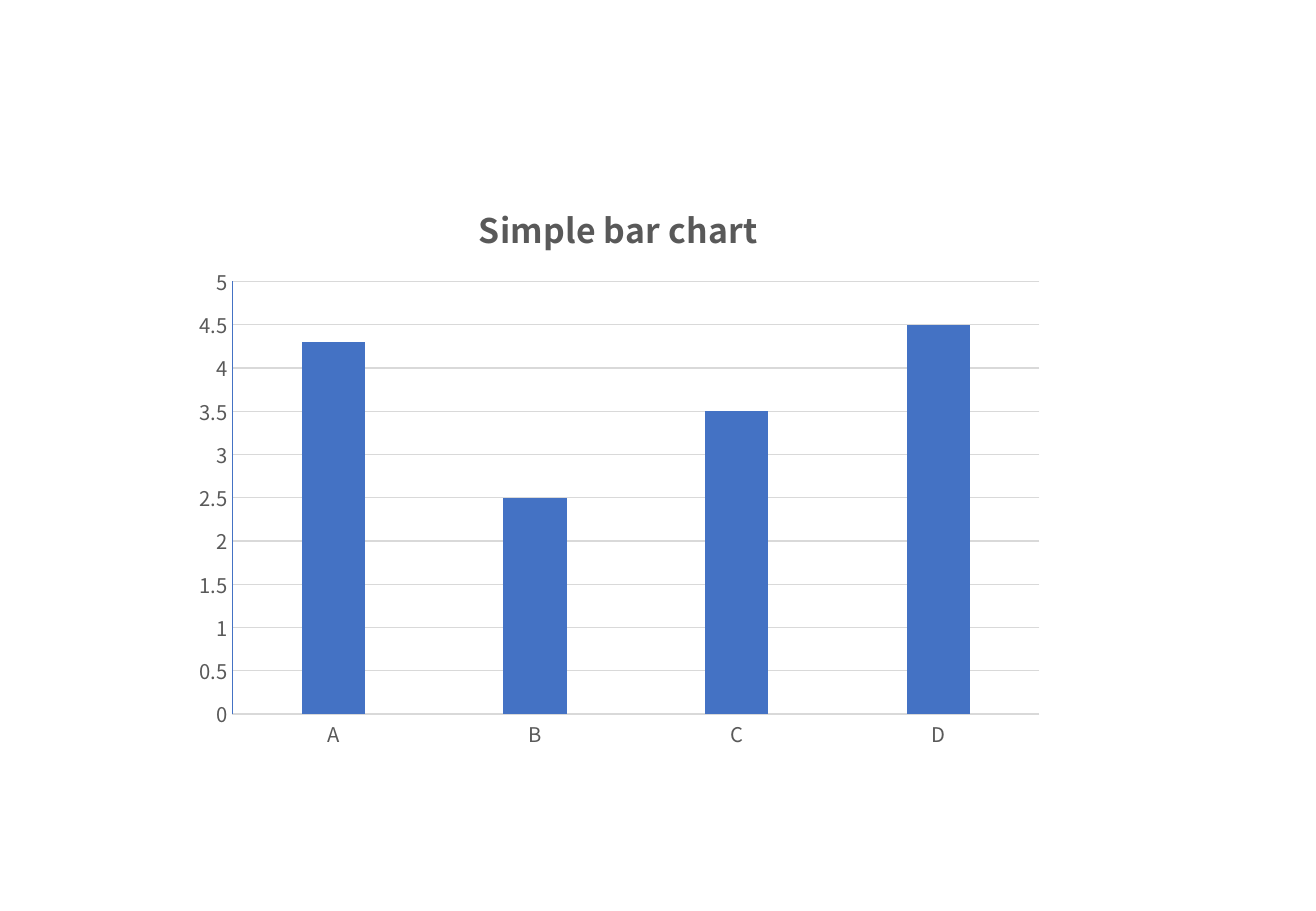
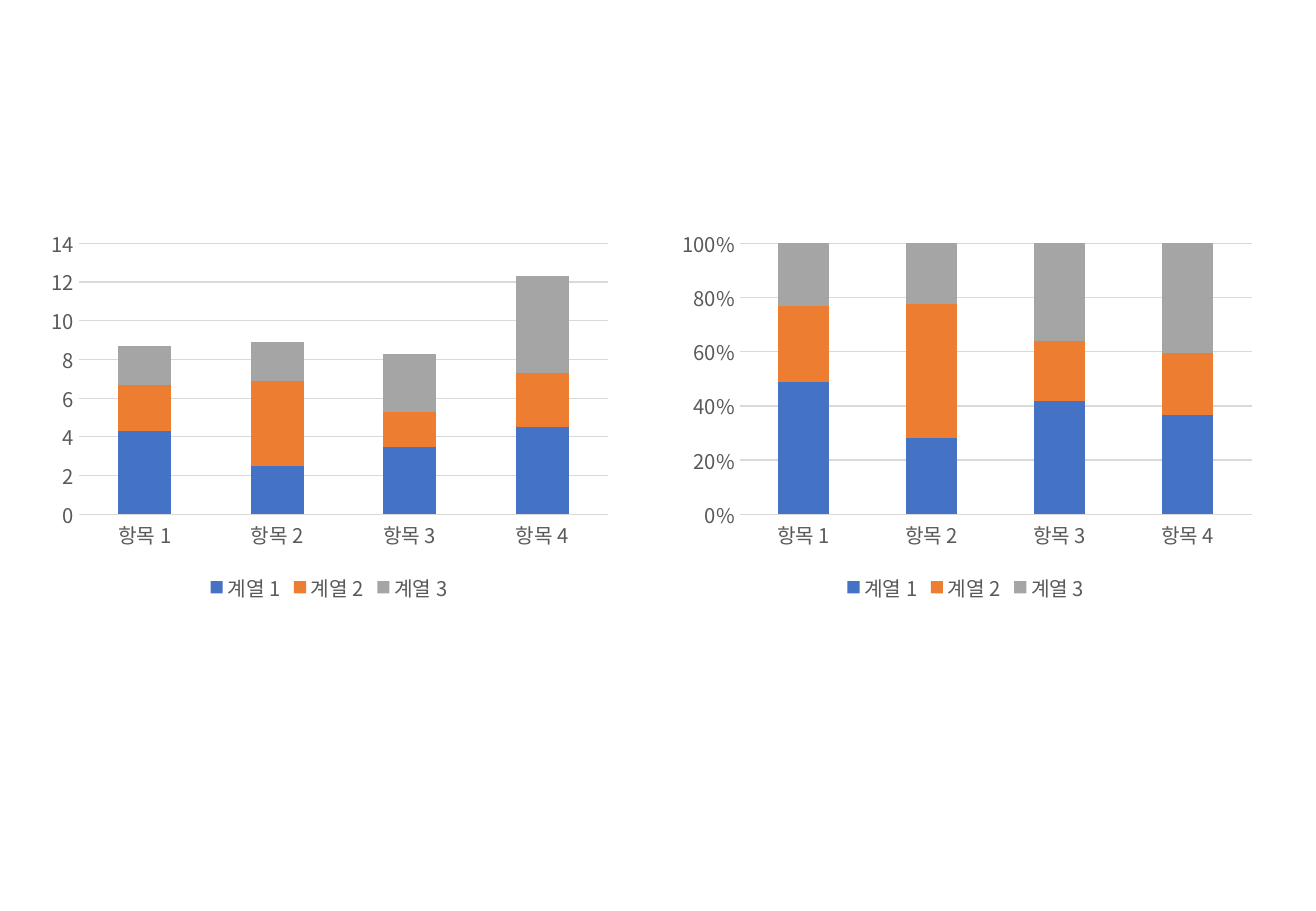
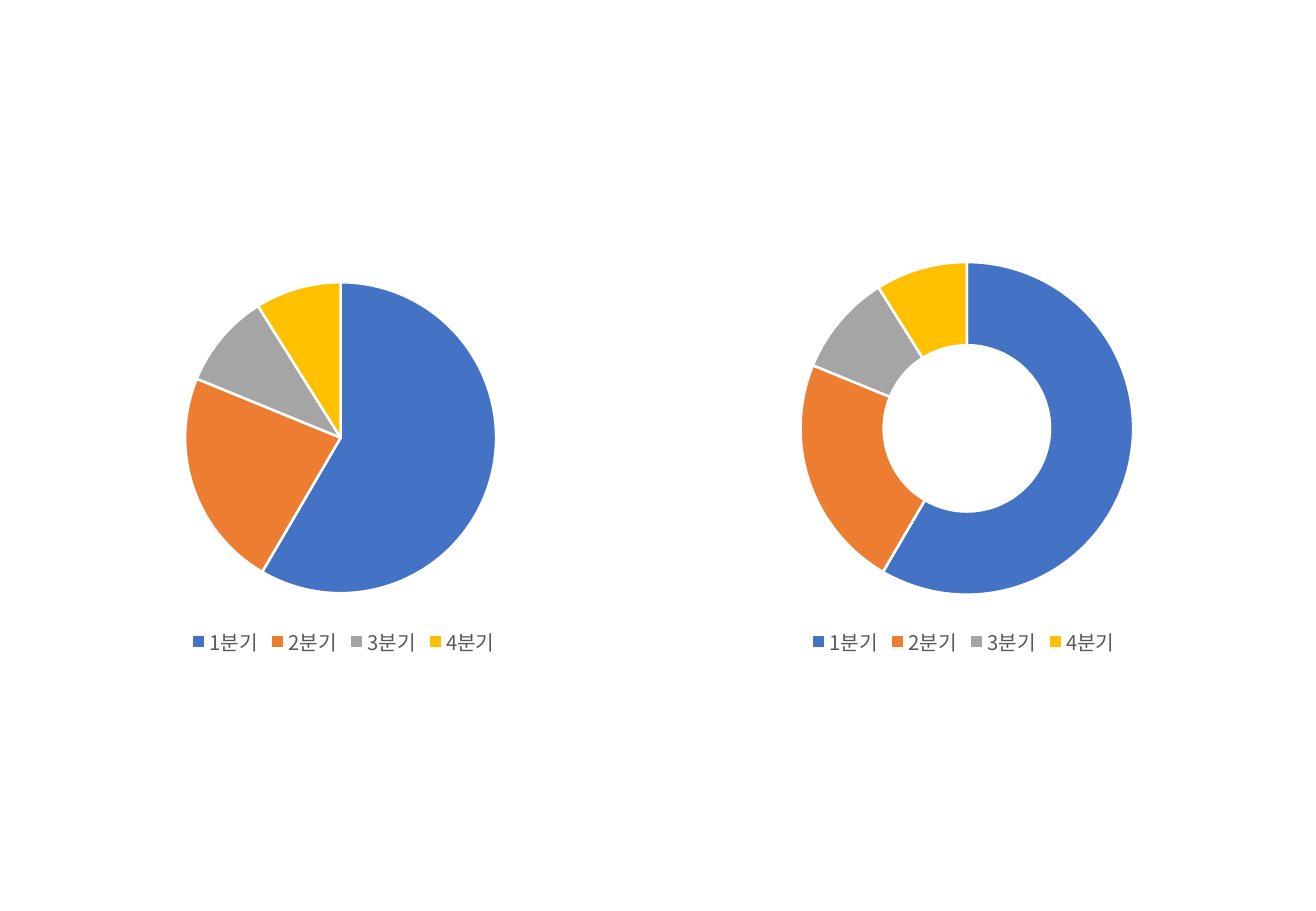
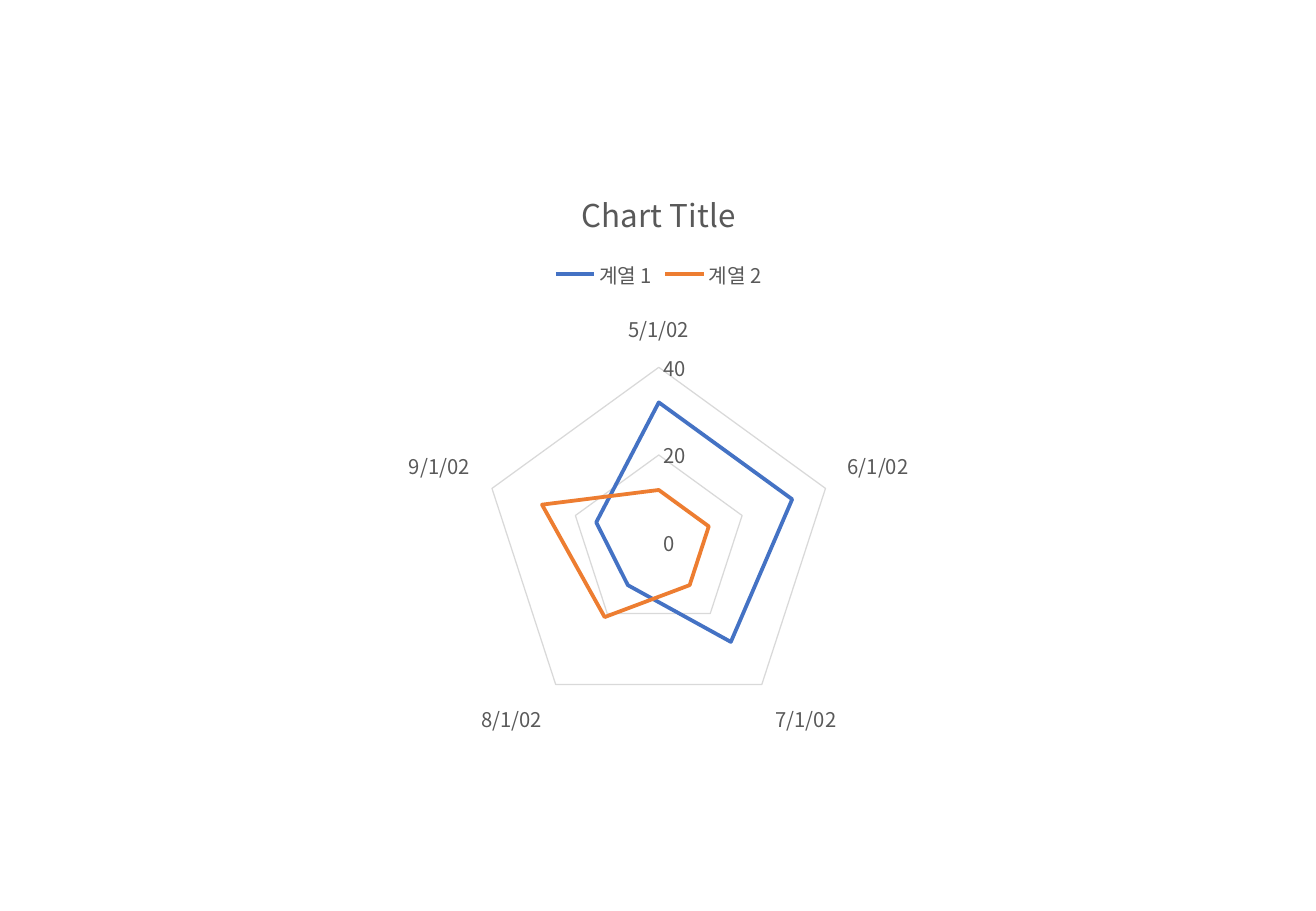
import pptx
import pptx.util
import pptx.dml.color
import pptx.chart.data
import pptx.enum.chart
import pptx.oxml

Pt = pptx.util.Pt
Kind = pptx.enum.chart.XL_CHART_TYPE
Side = pptx.enum.chart.XL_LEGEND_POSITION
Tick = pptx.enum.chart.XL_TICK_MARK

# Shared style
FACE = "Noto Sans CJK KR"
GREY, RULE, WHITE = "595959", "D9D9D9", "FFFFFF"
HUES = ["4472C4", "ED7D31", "A5A5A5", "FFC000"]
ITEMS = [f"항목 {n}" for n in range(1, 5)]
TERMS = [f"{n}분기" for n in range(1, 5)]
DATES = [f"{n}/1/02" for n in range(5, 10)]
NAMES = [f"계열 {n}" for n in range(1, 4)]


def rgb(code):
    return pptx.dml.color.RGBColor.from_string(code)


def style(font, size, bold=False):
    font.name, font.size, font.bold = FACE, Pt(size), bold
    font.color.rgb = rgb(GREY)


def stroke(line, code, width=0.75):
    """Draw a line in a colour, or hide it when there is none."""
    if code is None:
        line.fill.background()
    else:
        line.color.rgb = rgb(code)
        line.width = Pt(width)


def place(chart, area):
    """Set the inner plot area as fractions of the chart."""
    plot = chart.element.chart.plotArea
    for old in plot.findall(pptx.oxml.ns.qn("c:layout")):
        plot.remove(old)
    marks = "".join(f'<c:{tag} val="{val}"/>'
                    for tag, val in zip("xywh", area))
    plot.insert(0, pptx.oxml.parse_xml(
        f'<c:layout {pptx.oxml.ns.nsdecls("c")}><c:manualLayout>'
        '<c:layoutTarget val="inner"/><c:xMode val="edge"/>'
        f'<c:yMode val="edge"/>{marks}</c:manualLayout></c:layout>'))


def draw(slide, box, kind, cats, rows, area, title=None, side=None):
    """Add a chart with its title, legend and plot area."""
    data = pptx.chart.data.CategoryChartData()
    data.categories = cats
    for name, vals in rows:
        data.add_series(name, vals)
    chart = slide.shapes.add_chart(kind, *map(Pt, box), data).chart
    style(chart.font, 12)
    place(chart, area)

    # Title
    chart.has_title = title is not None
    if title:
        text, size, bold = title
        frame = chart.chart_title.text_frame
        frame.text = text
        style(frame.paragraphs[0].runs[0].font, size, bold)

    # Legend
    chart.has_legend = side is not None
    if side is not None:
        chart.legend.position = side
        chart.legend.include_in_layout = False
        style(chart.legend.font, 12)
    return chart


def scale(chart, top, step, form="General", line=None):
    """Format both axes and the value grid."""
    cat, val = chart.category_axis, chart.value_axis
    for axis, code in ((cat, RULE), (val, line)):
        axis.major_tick_mark = axis.minor_tick_mark = Tick.NONE
        style(axis.tick_labels.font, 12)
        stroke(axis.format.line, code)
    cat.has_major_gridlines = False
    val.has_major_gridlines = True
    stroke(val.major_gridlines.format.line, RULE)
    val.minimum_scale, val.maximum_scale, val.major_unit = 0, top, step
    val.tick_labels.number_format = form
    val.tick_labels.number_format_is_linked = False


def bars(slide, box, kind, cats, rows, area, gap, lap, axis, **more):
    """Column chart, plain or stacked."""
    chart = draw(slide, box, kind, cats, rows, area, **more)
    scale(chart, **axis)
    plot = chart.plots[0]
    plot.vary_by_categories = False
    plot.gap_width, plot.overlap = gap, lap
    for row, hue in zip(plot.series, HUES):
        row.format.fill.solid()
        row.format.fill.fore_color.rgb = rgb(hue)


def round_(slide, box, kind, area):
    """Pie or ring of the four quarters."""
    chart = draw(slide, box, kind, TERMS, [("Series 1", [59, 23, 10, 9])],
                 area, side=Side.BOTTOM)
    plot = chart.plots[0]
    plot.vary_by_categories = True
    for n, hue in enumerate(HUES):
        part = plot.series[0].points[n].format
        part.fill.solid()
        part.fill.fore_color.rgb = rgb(hue)
        stroke(part.line, WHITE, 1.5)
    for hole in chart.element.iter(pptx.oxml.ns.qn("c:holeSize")):
        hole.set("val", "75")


def web(slide, box, rows, area):
    """Radar chart over five dates."""
    chart = draw(slide, box, Kind.RADAR, DATES, rows, area,
                 title=("Chart Title", 18.6, False), side=Side.TOP)
    scale(chart, 40, 20)
    for row, hue in zip(chart.plots[0].series, HUES):
        row.smooth = False
        stroke(row.format.line, hue, 2.25)


deck = pptx.Presentation()
deck.slide_width, deck.slide_height = Pt(780), Pt(540)
one, two, three, four = [deck.slides.add_slide(deck.slide_layouts[6])
                         for _ in range(4)]

# Slide 1: simple columns
bars(one, (106.5, 104.5, 520, 346.5), Kind.COLUMN_CLUSTERED, list("ABCD"),
     [("Series 1", [4.3, 2.5, 3.5, 4.5])], (0.06, 0.18, 0.92, 0.74),
     219, -45, dict(top=5, step=0.5, line=HUES[0]),
     title=("Simple bar chart", 20, True))

# Slide 2: stacked columns, as sums and as shares
sums = [[4.3, 2.5, 3.5, 4.5], [2.4, 4.4, 1.8, 2.8], [2, 2, 3, 5]]
parts = [[49, 28, 42, 37], [28, 49, 22, 23], [23, 22, 36, 41]]
for box, kind, vals, area, axis in (
        ((22.5, 130.5, 345, 229.5), Kind.COLUMN_STACKED, sums,
         (0.07, 0.06, 0.91, 0.7), dict(top=14, step=2)),
        ((396, 130.5, 353, 229.5), Kind.COLUMN_STACKED_100, parts,
         (0.12, 0.06, 0.86, 0.7), dict(top=1, step=0.2, form="0%"))):
    bars(two, box, kind, ITEMS, zip(NAMES, vals), area, 150, 100, axis,
         side=Side.BOTTOM)

# Slide 3: pie and ring
round_(three, (23, 157.5, 361.5, 234.5), Kind.PIE, (0.24, 0.04, 0.51, 0.79))
round_(three, (384.5, 145.5, 373.5, 246.5), Kind.DOUGHNUT,
       (0.24, 0.04, 0.53, 0.8))

# Slide 4: radar
web(four, (130.5, 96.5, 520, 346.5),
    zip(NAMES, [[32, 32, 28, 12, 15], [12, 12, 12, 21, 28]]),
    (0.3, 0.35, 0.4, 0.6))

deck.save("out.pptx")
